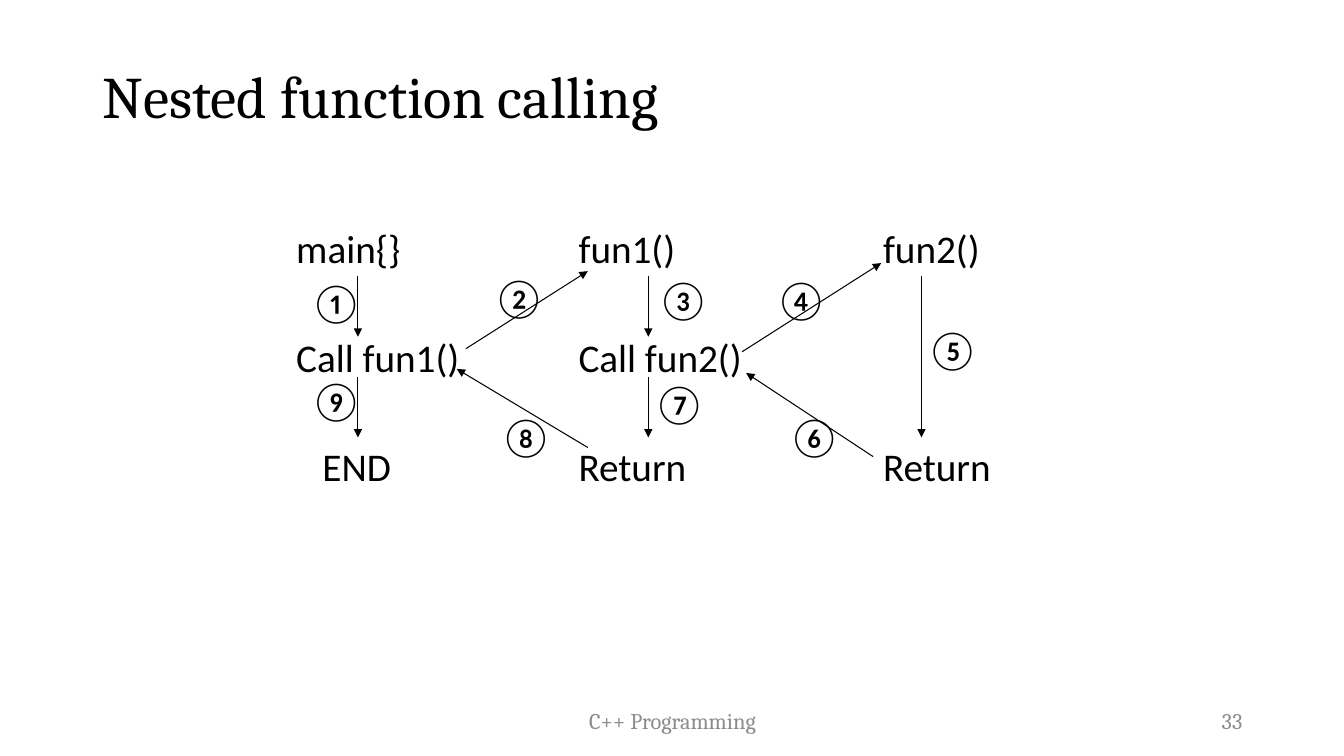
from pptx import Presentation
from pptx.dml.color import RGBColor
from pptx.enum.shapes import MSO_CONNECTOR
from pptx.enum.text import MSO_ANCHOR, PP_ALIGN
from pptx.oxml.ns import qn
from pptx.util import Inches, Pt
from lxml.etree import SubElement


def color(value):
    return RGBColor.from_string(value)


def add_text(text, left, top, width, height, size=28, font="Calibri", ink="000000",
             align=PP_ALIGN.LEFT, anchor=MSO_ANCHOR.TOP, spacing=1.0):
    box = page.shapes.add_textbox(Inches(left), Inches(top), Inches(width), Inches(height))
    frame = box.text_frame
    frame.word_wrap = True
    frame.vertical_anchor = anchor
    para = frame.paragraphs[0]
    para.text = text
    para.alignment = align
    para.line_spacing = spacing
    para.font.size = Pt(size)
    para.font.name = font
    para.font.color.rgb = color(ink)
    return frame


deck = Presentation()
deck.slide_width = Inches(13.33)
deck.slide_height = Inches(7.5)
page = deck.slides.add_slide(deck.slide_layouts[6])

add_text("Nested function calling", 0.92, 0.26, 11.5, 1.45, size=42, font="Cambria",
         anchor=MSO_ANCHOR.MIDDLE, spacing=0.9)
for text, left, width, align in [
    ("C++ Programming", 4.42, 4.5, PP_ALIGN.CENTER),
    ("33", 9.42, 3, PP_ALIGN.RIGHT),
]:
    add_text(text, left, 6.95, width, 0.4, size=16, font="Cambria", ink="8C8C8C",
             align=align, anchor=MSO_ANCHOR.MIDDLE)

row_top, row_pitch = 2.11, 1.08
for text, left, row in [
    ("main{}", 2.84, 0), ("Call fun1()", 2.84, 1), ("END", 3.1, 2),
    ("fun1()", 5.64, 0), ("Call fun2()", 5.64, 1), ("Return", 5.64, 2),
    ("fun2()", 8.66, 0), ("Return", 8.66, 2),
]:
    add_text(text, left, row_top + row * row_pitch, 2, 0.65, spacing=1.15)

arrows = [
    (3.55, 2.74, 3.55, 3.34),
    (3.55, 3.74, 3.55, 4.34),
    (4.62, 3.46, 5.83, 2.69),
    (5.83, 4.44, 4.53, 3.66),
    (6.43, 2.74, 6.43, 3.34),
    (6.43, 3.74, 6.43, 4.34),
    (7.36, 3.49, 8.74, 2.61),
    (9.14, 2.74, 9.14, 4.34),
    (8.66, 4.53, 7.4, 3.7),
]
for ends in arrows:
    arrow = page.shapes.add_connector(MSO_CONNECTOR.STRAIGHT, *map(Inches, ends))
    arrow.line.color.rgb = color("000000")
    arrow.line.width = Pt(0.75)
    SubElement(arrow.line._get_or_add_ln(), qn("a:tailEnd"), type="triangle")
    SubElement(arrow._element.spPr, qn("a:effectLst"))

steps = [
    ("①", 3.08, 2.76), ("②", 4.89, 2.71), ("③", 6.52, 2.73),
    ("④", 7.69, 2.73), ("⑤", 9.19, 3.23), ("⑥", 7.82, 4.09),
    ("⑦", 6.48, 3.76), ("⑧", 4.96, 4.09), ("⑨", 3.08, 3.73),
]
for number, left, top in steps:
    frame = add_text(number, left, top, 0.33, 0.4)
    frame.margin_left = frame.margin_right = frame.margin_top = frame.margin_bottom = 0

deck.save("out.pptx")
